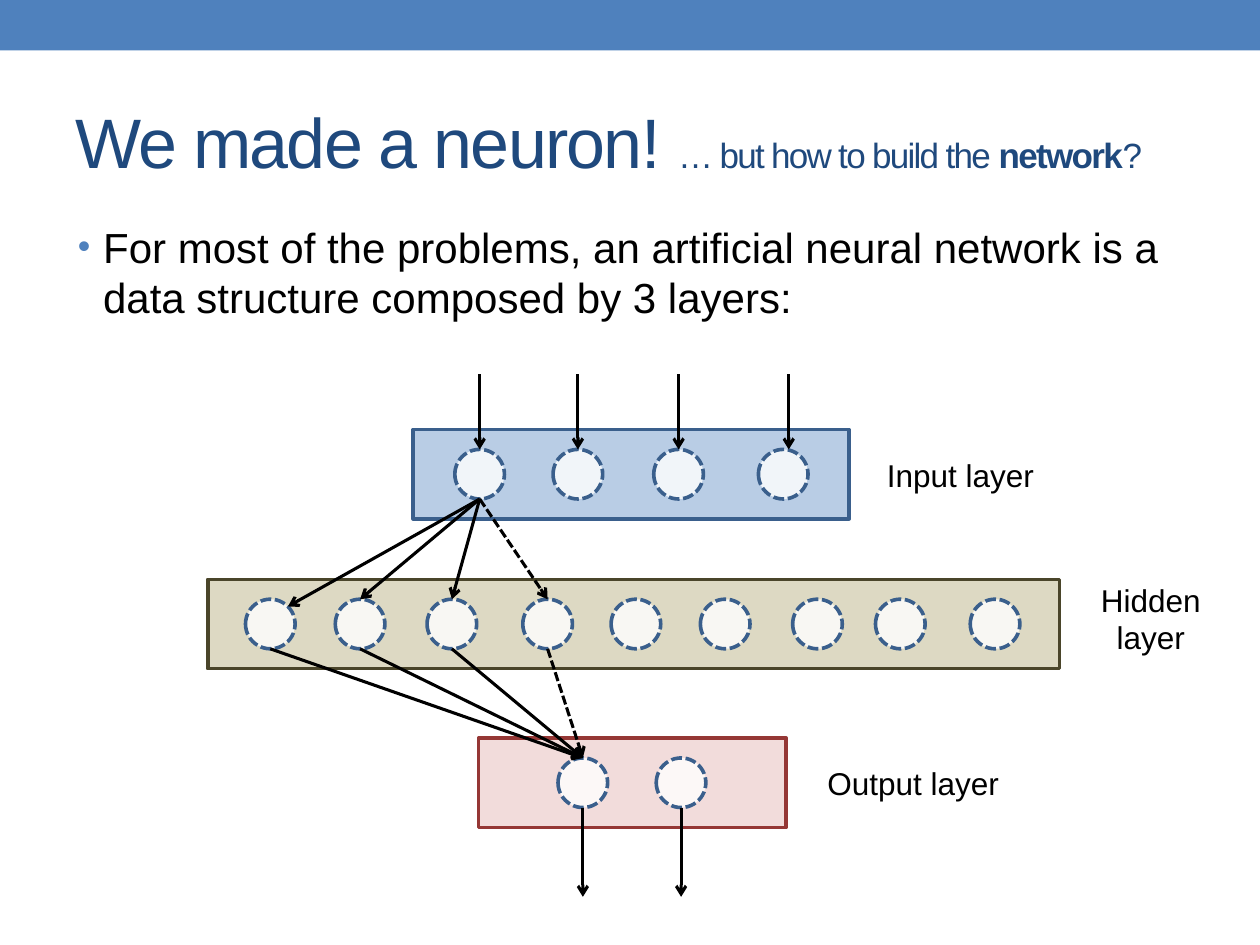
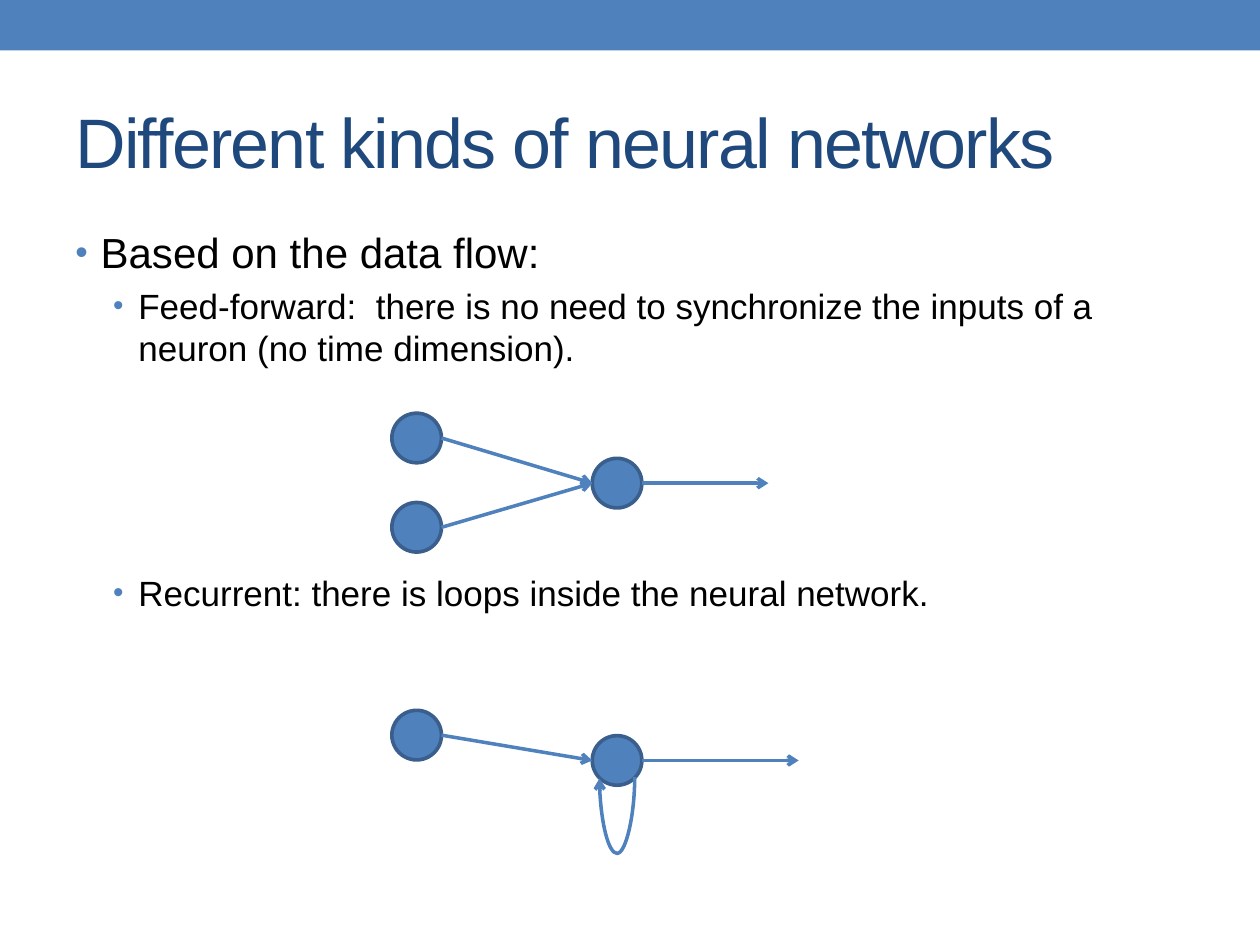
import dataclasses
import typing

import lxml.etree
import pptx
import pptx.dml.color
import pptx.enum.dml
import pptx.enum.shapes
import pptx.enum.text
import pptx.oxml.ns
import pptx.util

Cm, Pt, qn = pptx.util.Cm, pptx.util.Pt, pptx.oxml.ns.qn
SHAPE = pptx.enum.shapes.MSO_SHAPE
CONNECTOR = pptx.enum.shapes.MSO_CONNECTOR
ALIGN = pptx.enum.text.PP_ALIGN
ANCHOR = pptx.enum.text.MSO_ANCHOR
SYS_DASH = pptx.enum.dml.MSO_LINE.SQUARE_DOT

Point = tuple[float, float]

BLUE, DARK_BLUE, NAVY, BLACK, WHITE = "4F81BD", "3A5F8C", "1F497D", "000000", "FFFFFF"
OUTLINE = 2.08
RADIUS = 0.5
LAYER_HEIGHT = 1.8

TITLE = {"name": "Arial", "size": Pt(40), "color": NAVY}
SUBTITLE = TITLE | {"size": Pt(20)}
LABEL = {"name": "Arial", "size": Pt(18), "color": BLACK}
BODY = [LABEL | {"size": Pt(24)}, LABEL | {"size": Pt(20)}]
BULLET_INDENT = 0.51
LEVEL_LEFT = [0.51, 1.27]


class Run(typing.NamedTuple):
    text: str
    font: dict


class Bullet(typing.NamedTuple):
    text: str
    level: int = 0
    before: float = 4


class Label(typing.NamedTuple):
    lines: list[str]
    left: float
    top: float
    width: float
    height: float
    align: ALIGN = ALIGN.LEFT


@dataclasses.dataclass
class Layer:
    left: float
    top: float
    width: float
    fill: str
    line: str
    neuron_x: list[float]
    label: Label

    @property
    def middle(self) -> float:
        return self.top + LAYER_HEIGHT / 2

    def above(self, i: int) -> Point:
        return self.neuron_x[i], self.middle - RADIUS

    def below(self, i: int) -> Point:
        return self.neuron_x[i], self.middle + RADIUS


INPUT = Layer(8.33, 8.66, 8.79, "B9CDE5", DARK_BLUE, [9.67, 11.65, 13.68, 15.79],
              Label(["Input layer"], 17.63, 9.07, 4.06, 1.02))
HIDDEN = Layer(4.19, 11.68, 17.17, "DDD9C3", "4A452A",
               [5.45, 7.26, 9.11, 11.04, 12.82, 14.62, 16.48, 18.15, 20.06],
               Label(["Hidden", "layer"], 21.51, 11.58, 3.38, 1.8, ALIGN.CENTER))
OUTPUT = Layer(9.65, 14.88, 6.2, "F2DCDB", "953735", [11.75, 13.73],
               Label(["Output layer"], 16.43, 15.27, 4.06, 1.02))


def rgb(color: str) -> pptx.dml.color.RGBColor:
    return pptx.dml.color.RGBColor.from_string(color)


def add_run(p, text: str, font: dict) -> None:
    r = p.add_run()
    r.text = text
    for name, value in font.items():
        if name == "color":
            r.font.color.rgb = rgb(value)
        else:
            setattr(r.font, name, value)


def add_text_frame(slide, left: float, top: float, width: float, height: float):
    tf = slide.shapes.add_textbox(Cm(left), Cm(top), Cm(width), Cm(height)).text_frame
    tf.word_wrap = True
    return tf


def add_shape(shapes, kind, left: float, top: float, width: float, height: float,
              fill: str, line: str | None = None):
    sp = shapes.add_shape(kind, Cm(left), Cm(top), Cm(width), Cm(height))
    sp.shadow.inherit = False
    sp.fill.solid()
    sp.fill.fore_color.rgb = rgb(fill)
    if line:
        sp.line.color.rgb = rgb(line)
        sp.line.width = Pt(OUTLINE)
    else:
        sp.line.fill.background()
    return sp


def add_neuron(shapes, x: float, y: float, fill: str):
    return add_shape(shapes, SHAPE.OVAL, x - RADIUS, y - RADIUS,
                     2 * RADIUS, 2 * RADIUS, fill, DARK_BLUE)


def add_arrow(slide, start: Point, end: Point, color: str, width: float,
              dashed: bool = False, kind=CONNECTOR.STRAIGHT):
    cxn = slide.shapes.add_connector(kind, *map(Cm, start + end))
    cxn.line.color.rgb = rgb(color)
    cxn.line.width = Pt(width)
    if dashed:
        cxn.line.dash_style = SYS_DASH
    sp_pr = cxn._element.spPr
    lxml.etree.SubElement(sp_pr.find(qn("a:ln")), qn("a:tailEnd"), type="arrow")
    lxml.etree.SubElement(sp_pr, qn("a:effectLst"))
    return cxn


def add_loop(slide, center: Point, span: float, dip: float) -> None:
    """Draw a curved arrow that hangs below center and returns to the left."""
    rise = 0.03
    x, y = center
    cxn = add_arrow(slide, (x - rise / 2, y - span / 2), (x + rise / 2, y + span / 2),
                    BLUE, 2, kind=CONNECTOR.CURVE)
    sp_pr = cxn._element.spPr
    sp_pr.find(qn("a:xfrm")).set("rot", str(90 * 60000))
    geom = sp_pr.find(qn("a:prstGeom"))
    guides = geom.find(qn("a:avLst"))
    if guides is None:
        guides = lxml.etree.SubElement(geom, qn("a:avLst"))
    lxml.etree.SubElement(guides, qn("a:gd"), name="adj1",
                          fmla=f"val {round(dip / rise * 100000)}")


def add_bullets(slide, left: float, top: float, bullets: list[Bullet]) -> None:
    tf = add_text_frame(slide, left, top, 22.86, 13.54)
    for i, bullet in enumerate(bullets):
        p = tf.paragraphs[0] if i == 0 else tf.add_paragraph()
        p.level = bullet.level
        p.space_before = Pt(bullet.before)
        add_run(p, bullet.text, BODY[bullet.level])
        p_pr = p._p.get_or_add_pPr()
        p_pr.set("marL", str(Cm(LEVEL_LEFT[bullet.level])))
        p_pr.set("indent", str(-Cm(BULLET_INDENT)))
        color = lxml.etree.SubElement(p_pr, qn("a:buClr"))
        lxml.etree.SubElement(color, qn("a:srgbClr"), val=BLUE)
        lxml.etree.SubElement(p_pr, qn("a:buSzPct"), val="85000")
        lxml.etree.SubElement(p_pr, qn("a:buFont"), typeface="Arial")
        lxml.etree.SubElement(p_pr, qn("a:buChar"), char="•")


def add_slide(prs, title: list[Run]):
    """Add a slide with the top band and a tightly spaced title."""
    slide = prs.slides.add_slide(prs.slide_layouts[6])
    add_shape(slide.shapes, SHAPE.RECTANGLE, 0, 0, 25.4, 1.02, BLUE)
    tf = add_text_frame(slide, 1.27, 1.47, 22.86, 2.74)
    tf.vertical_anchor = ANCHOR.MIDDLE
    p = tf.paragraphs[0]
    for run in title:
        add_run(p, *run)
    for r in p.runs:
        r._r.get_or_add_rPr().set("spc", "-100")
    return slide


def add_layer(slide, layer: Layer) -> None:
    shapes = slide.shapes.add_group_shape().shapes
    add_shape(shapes, SHAPE.RECTANGLE, layer.left, layer.top, layer.width,
              LAYER_HEIGHT, layer.fill, layer.line)
    for x in layer.neuron_x:
        neuron = add_neuron(shapes, x, layer.middle, WHITE)
        neuron.line.dash_style = SYS_DASH
        color = neuron._element.spPr.find(qn("a:solidFill")).find(qn("a:srgbClr"))
        lxml.etree.SubElement(color, qn("a:alpha"), val="80000")

    label = layer.label
    tf = add_text_frame(slide, label.left, label.top, label.width, label.height)
    for i, line in enumerate(label.lines):
        p = tf.paragraphs[0] if i == 0 else tf.add_paragraph()
        p.alignment = label.align
        add_run(p, line, LABEL)


def build_layers_slide(prs) -> None:
    slide = add_slide(prs, [Run("We made a neuron! ", TITLE),
                            Run("… but how to build the ", SUBTITLE),
                            Run("network", SUBTITLE | {"bold": True}),
                            Run("?", SUBTITLE)])
    add_bullets(slide, 1.32, 4.34, [
        Bullet("For most of the problems, an artificial neural network is a "
               "data structure composed by 3 layers:")])
    for layer in (INPUT, HIDDEN, OUTPUT):
        add_layer(slide, layer)

    def arrow(start: Point, end: Point, dashed: bool = False) -> None:
        add_arrow(slide, start, end, BLACK, 1.75, dashed)

    for x in [*INPUT.neuron_x[:-1], 15.9]:
        arrow((x, 7.54), (x, INPUT.middle - RADIUS))
    for i, x in enumerate(OUTPUT.neuron_x):
        arrow(OUTPUT.below(i), (x, 18.08))

    diagonal = RADIUS * 0.71
    first_target = (HIDDEN.neuron_x[0] + diagonal, HIDDEN.middle - diagonal)
    targets = [first_target, *map(HIDDEN.above, range(1, 4))]
    for i, target in enumerate(targets):
        dashed = i == len(targets) - 1
        arrow(INPUT.below(0), target, dashed)
        arrow(HIDDEN.below(i), OUTPUT.above(0), dashed)


def build_kinds_slide(prs) -> None:
    slide = add_slide(prs, [Run("Different kinds of neural networks", TITLE)])
    add_bullets(slide, 1.27, 4.45, [
        Bullet("Based on the data flow:"),
        Bullet("Feed-forward:  there is no need to synchronize the inputs of a "
               "neuron (no time dimension).", 1),
        Bullet("Recurrent: there is loops inside the neural network.", 1, 116)])

    source_x, target_x = 8.4, 12.44
    networks = [([8.83, 10.63], 9.74, 15.49), ([14.82], 15.33, 16.1)]
    for source_ys, target_y, output_x in networks:
        for y in source_ys:
            add_neuron(slide.shapes, source_x, y, BLUE)
        add_neuron(slide.shapes, target_x, target_y, BLUE)
        for y in source_ys:
            add_arrow(slide, (source_x + RADIUS, y), (target_x - RADIUS, target_y), BLUE, 2)
        add_arrow(slide, (target_x + RADIUS, target_y), (output_x, target_y), BLUE, 2)
    add_loop(slide, (target_x, 15.68), 0.71, 1.54)


def main() -> None:
    prs = pptx.Presentation()
    prs.slide_width, prs.slide_height = Cm(25.4), Cm(19.05)
    build_layers_slide(prs)
    build_kinds_slide(prs)
    prs.save("out.pptx")


if __name__ == "__main__":
    main()
